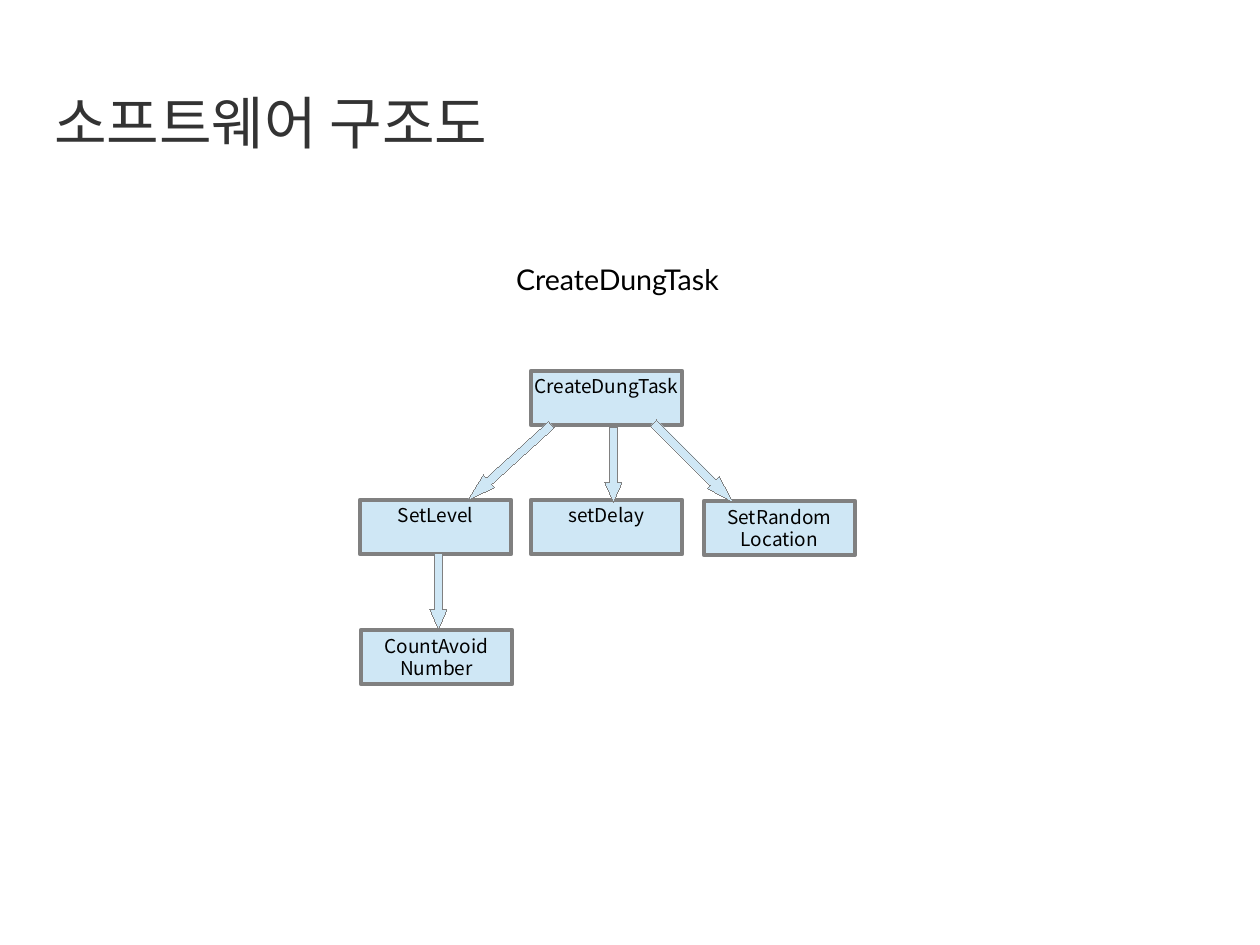
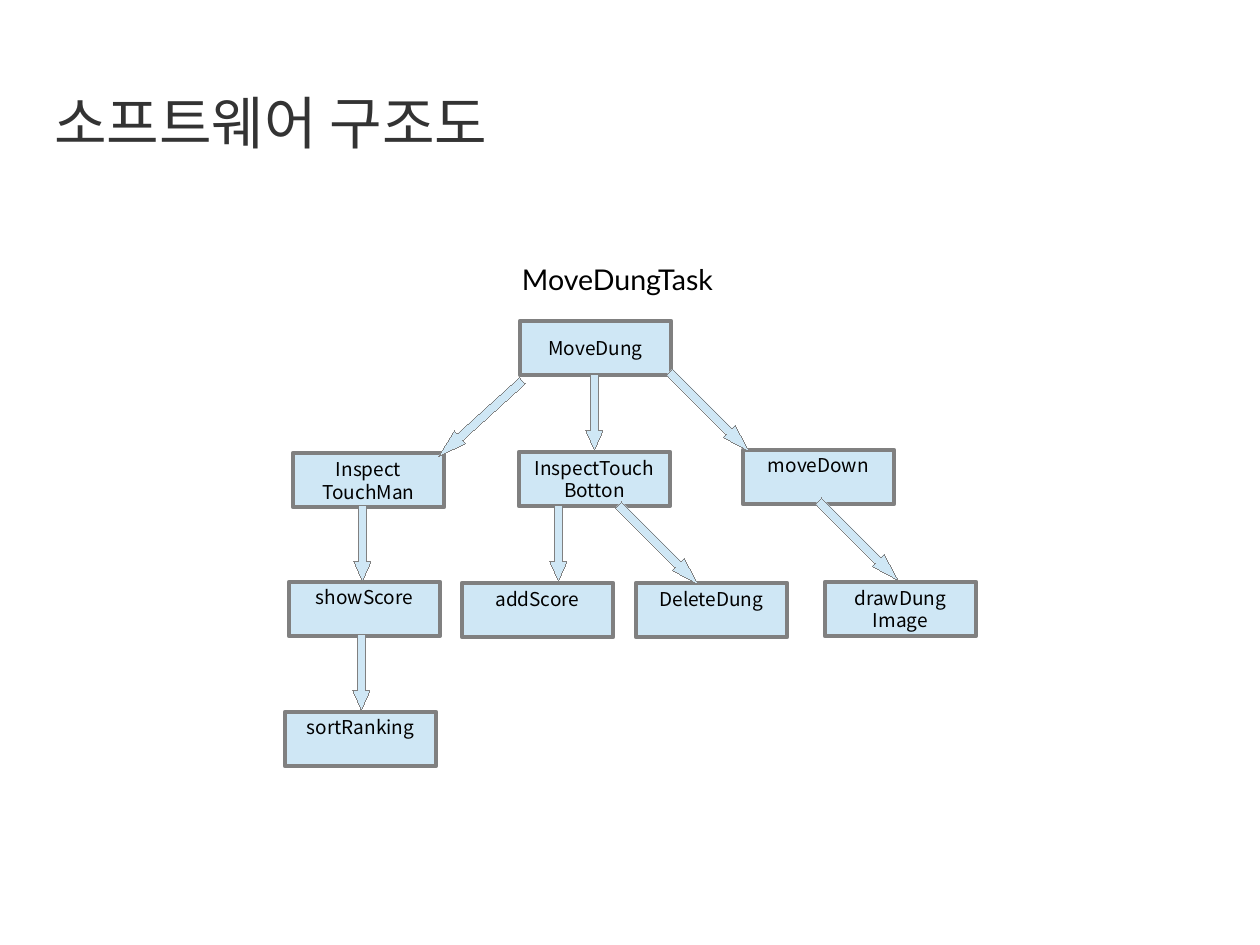
from pptx import Presentation
from pptx.dml.color import RGBColor
from pptx.enum.shapes import MSO_SHAPE
from pptx.enum.text import MSO_ANCHOR, MSO_AUTO_SIZE, PP_ALIGN
from pptx.oxml.ns import qn
from pptx.util import Emu, Pt

RECT, DOWN_ARROW = MSO_SHAPE.RECTANGLE, MSO_SHAPE.DOWN_ARROW
TOP, MIDDLE = MSO_ANCHOR.TOP, MSO_ANCHOR.MIDDLE
LEFT, CENTER = PP_ALIGN.LEFT, PP_ALIGN.CENTER
NO_FIT = MSO_AUTO_SIZE.NONE

PX = 8000
SLIDE_W, SLIDE_H = 1260, 945
TITLE_BOX = (54, 81, 882, 81)
DIAGRAM_BOX = (63, 262, 1109, 549)
NODE_W, NODE_H = 151, 54
ARROW_W = 17
ARROWS = {"down": (75, 0, 1.137), "left": (113, 47.8, 1.686), "right": (113, 315, 1.686)}

TITLE = "소프트웨어 구조도"
INK, BLACK, PALE_BLUE, GRAY = "333333", "000000", "CFE7F5", "808080"

CREATE_TASK = {
    "heading": "CreateDungTask",
    "nodes": [
        (468, 109, "CreateDungTask", TOP),
        (297, 238, "SetLevel", TOP),
        (468, 238, "setDelay", TOP),
        (641, 239, "SetRandom\nLocation", MIDDLE),
        (298, 368, "CountAvoid\nNumber", MIDDLE),
    ],
    "arrows": [
        (438, 144, "left"),
        (542, 165, "down"),
        (622, 144, "right"),
        (367, 292, "down"),
    ],
}
MOVE_TASK = {
    "heading": "MoveDungTask",
    "nodes": [
        (457, 59, "MoveDung", MIDDLE),
        (230, 191, "Inspect\nTouchMan", MIDDLE),
        (456, 190, "InspectTouch\nBotton", MIDDLE),
        (680, 188, "moveDown", TOP),
        (226, 320, "showScore", TOP),
        (399, 321, "addScore", TOP),
        (573, 321, "DeleteDung", TOP),
        (762, 320, "drawDung\nImage", MIDDLE),
        (222, 450, "sortRanking", TOP),
    ],
    "arrows": [
        (409, 100, "left"),
        (523, 113, "down"),
        (638, 93, "right"),
        (291, 244, "down"),
        (487, 244, "down"),
        (587, 226, "right"),
        (787, 222, "right"),
        (290, 373, "down"),
    ],
}


def px(n):
    return Emu(n * PX)


def rgb(color):
    return RGBColor.from_string(color)


def set_text(sp, text, size, font, color, align, anchor, insets=(0, 0, 0, 0)):
    tf = sp.text_frame
    tf.text = text
    tf.word_wrap = True
    tf.auto_size = NO_FIT
    tf.vertical_anchor = anchor
    tf.margin_left, tf.margin_top, tf.margin_right, tf.margin_bottom = map(px, insets)
    for p in tf.paragraphs:
        p.alignment = align
        for r in p.runs:
            r.font.size = Pt(size)
            r.font.name = font
            r.font.color.rgb = rgb(color)


def add_shape(slide, kind, box, line_width):
    sp = slide.shapes.add_shape(kind, *map(px, box))
    sp.shadow.inherit = False
    sp.fill.solid()
    sp.fill.fore_color.rgb = rgb(PALE_BLUE)
    sp.line.color.rgb = rgb(GRAY)
    sp.element.spPr.find(qn("a:ln")).set("w", str(Pt(line_width)))
    return sp


def add_node(slide, x, y, text, anchor):
    sp = add_shape(slide, RECT, (x, y, NODE_W, NODE_H), 2.86)
    inset_top = 4 if anchor == TOP else 2
    set_text(sp, text, 12, "Noto Sans CJK KR", BLACK, CENTER, anchor, (2, inset_top, 2, 2))


def add_arrow(slide, x, y, direction):
    length, rotation, head = ARROWS[direction]
    sp = add_shape(slide, DOWN_ARROW, (x, y, ARROW_W, length), 0)
    sp.adjustments[0] = 0.5
    sp.adjustments[1] = head
    sp.rotation = rotation


def add_title(slide, box):
    sp = slide.shapes.title
    sp.left, sp.top, sp.width, sp.height = map(px, box)
    set_text(sp, TITLE, 36, "Arial", INK, LEFT, MIDDLE)
    for r in sp.text_frame.paragraphs[0].runs:
        r.font._element.set("kern", "0")


def add_diagram(slide, box, task):
    left, top, width, height = box
    sp = slide.shapes.add_textbox(*map(px, box))
    set_text(sp, task["heading"], 18, "Lato", BLACK, CENTER, TOP)
    for x, y, text, anchor in task["nodes"]:
        add_node(slide, left + x, top + y, text, anchor)
    for x, y, direction in task["arrows"]:
        add_arrow(slide, left + x, top + y, direction)


def main():
    prs = Presentation()
    prs.slide_width, prs.slide_height = px(SLIDE_W), px(SLIDE_H)
    for task in (CREATE_TASK, MOVE_TASK):
        slide = prs.slides.add_slide(prs.slide_layouts[5])
        add_title(slide, TITLE_BOX)
        add_diagram(slide, DIAGRAM_BOX, task)
    prs.save("out.pptx")


if __name__ == "__main__":
    main()
